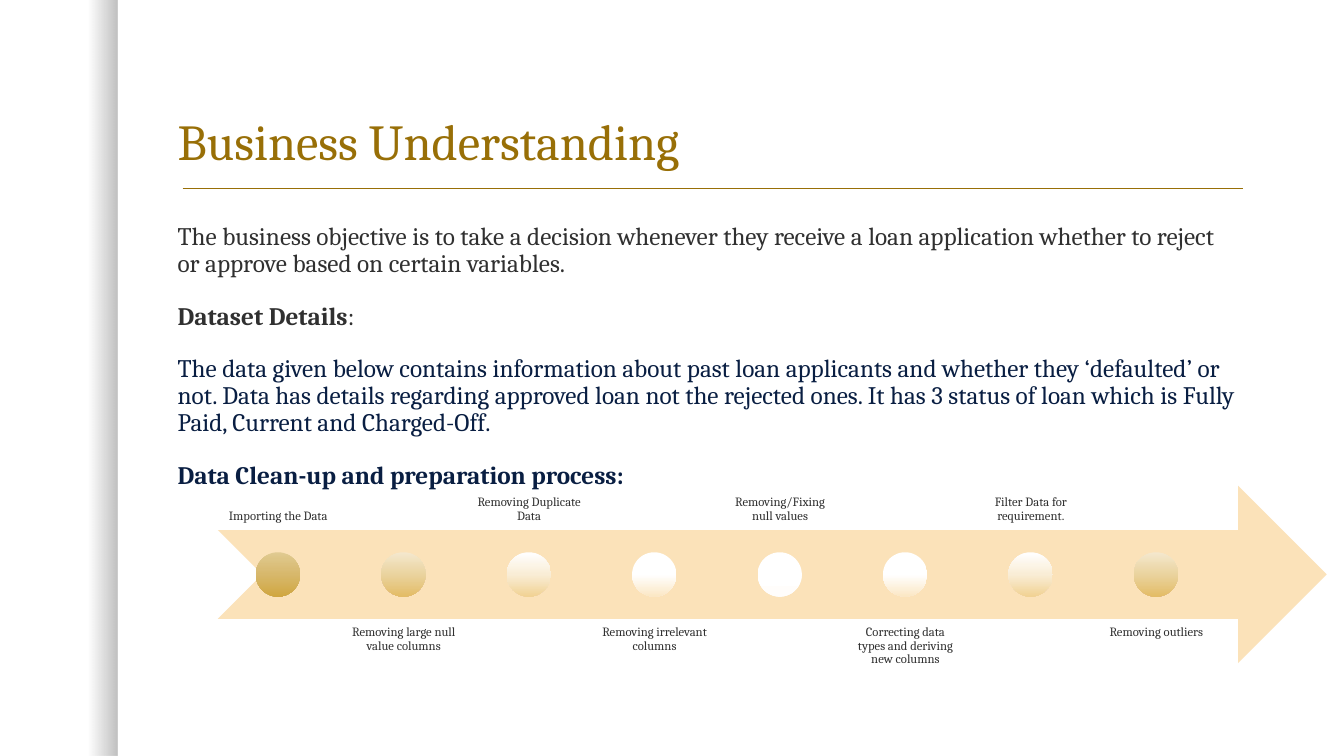
from lxml import etree
from pptx import Presentation
from pptx.dml.color import RGBColor
from pptx.enum import shapes, text
from pptx.oxml import ns
from pptx.util import Pt

COLORS = {
    "gold": "986F07",
    "ink": "303030",
    "navy": "091E42",
    "arrow": "FBE2B9",
    "shade": "000000",
}

deck = Presentation()
deck.slide_width, deck.slide_height = Pt(960), Pt(540)
slide = deck.slides.add_slide(deck.slide_layouts[6])


def write(paragraphs, left, top, width, height, size, color="ink", align="LEFT",
          anchor="TOP", inset=(7.2, 3.6), before=0):
    """Each paragraph is a list of (text, bold, colour key or None) runs."""
    frame = slide.shapes.add_textbox(Pt(left), Pt(top), Pt(width), Pt(height)).text_frame
    frame.word_wrap = True
    frame.vertical_anchor = getattr(text.MSO_ANCHOR, anchor)
    frame.margin_left = frame.margin_right = Pt(inset[0])
    frame.margin_top = frame.margin_bottom = Pt(inset[1])
    for i, runs in enumerate(paragraphs):
        paragraph = frame.add_paragraph() if i else frame.paragraphs[0]
        paragraph.alignment = getattr(text.PP_ALIGN, align)
        paragraph.line_spacing = 0.9
        paragraph.space_before = Pt(before)
        for words, bold, run_color in runs:
            run = paragraph.add_run()
            run.text = words
            run.font.name, run.font.size, run.font.bold = "Cambria", Pt(size), bold
            run.font.color.rgb = RGBColor.from_string(COLORS[run_color or color])


def add_figure(kind, left, top, width, height, stops, angle=0):
    """Stops are (position %, hex colour, opacity %); a single stop is a solid fill."""
    figure = slide.shapes.add_shape(kind, Pt(left), Pt(top), Pt(width), Pt(height))
    figure.shadow.inherit = False
    figure.line.fill.background()
    if len(stops) == 1:
        figure.fill.solid()
        figure.fill.fore_color.rgb = RGBColor.from_string(stops[0][1])
        return
    gradient = etree.Element(ns.qn("a:gradFill"), rotWithShape="1")
    stop_list = etree.SubElement(gradient, ns.qn("a:gsLst"))
    for position, color, opacity in stops:
        stop = etree.SubElement(stop_list, ns.qn("a:gs"), pos=str(position * 1000))
        tint = etree.SubElement(stop, ns.qn("a:srgbClr"), val=color)
        etree.SubElement(tint, ns.qn("a:alpha"), val=str(opacity * 1000))
    etree.SubElement(gradient, ns.qn("a:lin"), ang=str(angle * 60000), scaled="0")
    figure._element.spPr.find(ns.qn("a:prstGeom")).addnext(gradient)


# Shaded page edge
add_figure(shapes.MSO_SHAPE.RECTANGLE, 0, 0, 83.8, 540,
           [(75, COLORS["shade"], 0), (100, COLORS["shade"], 25)])

# Rule under the title
rule = slide.shapes.add_connector(shapes.MSO_CONNECTOR.STRAIGHT,
                                  Pt(130.4), Pt(134.5), Pt(887.8), Pt(134.5))
rule.line.color.rgb = RGBColor.from_string(COLORS["gold"])
rule.line.width = Pt(1)
etree.SubElement(rule._element.spPr, ns.qn("a:effectLst"))

# Process arrow
add_figure(shapes.MSO_SHAPE.NOTCHED_RIGHT_ARROW, 155.7, 347, 792, 126.7,
           [(0, COLORS["arrow"], 100)])

# Steps: labels alternate above and below the arrow, dots fade out and back
dot_shades = [
    ("E0CA91", "D7B86C", "D0A63F"),
    ("F4E8CE", "EAD39E", "E3BC66"),
    ("FFFFFF", "F9EDD6", "F1D293"),
    ("FFFFFF", "FFFFFF", "FBE7C4"),
    ("FFFFFF", "FFFFFF", "FFFDFB"),
]
steps = [
    "Importing the Data",
    "Removing large null value columns",
    "Removing Duplicate Data",
    "Removing irrelevant columns",
    "Removing/Fixing null values",
    "Correcting data types and deriving new columns",
    "Filter Data for requirement.",
    "Removing outliers",
]
step_pitch = 89.6
for i, step in enumerate(steps):
    above = i % 2 == 0
    write([[(step, False, None)]], 156 + i * step_pitch, 252 if above else 442,
          85.4, 126.7, 9, align="CENTER", anchor="BOTTOM" if above else "TOP", inset=(5, 5))
    shades = dot_shades[4 - abs(i - 4)]
    add_figure(shapes.MSO_SHAPE.OVAL, 182.7 + i * step_pitch, 394.5, 31.7, 31.7,
               [(j * 50, shade, 100) for j, shade in enumerate(shades)], angle=90)

# Title
write([[("Business Understanding", False, None)]], 119.8, 30.2, 774, 95.8, 36,
      color="gold", anchor="BOTTOM")

# Body
write([
    [("The business objective is to take a decision whenever they receive a loan "
      "application whether to reject or approve based on certain variables.", False, None)],
    [("Dataset Details", True, None), (":", False, None)],
    [("The data given below contains information about past loan applicants and whether "
      "they ‘defaulted’ or not. Data has details regarding approved loan not the rejected "
      "ones. It has 3 status of loan which is Fully Paid, Current and Charged-Off.",
      False, "navy")],
    [("Data Clean-up and preparation process:", True, "navy")],
], 119.8, 156.2, 774, 329.8, 18, before=18)

deck.save("out.pptx")
